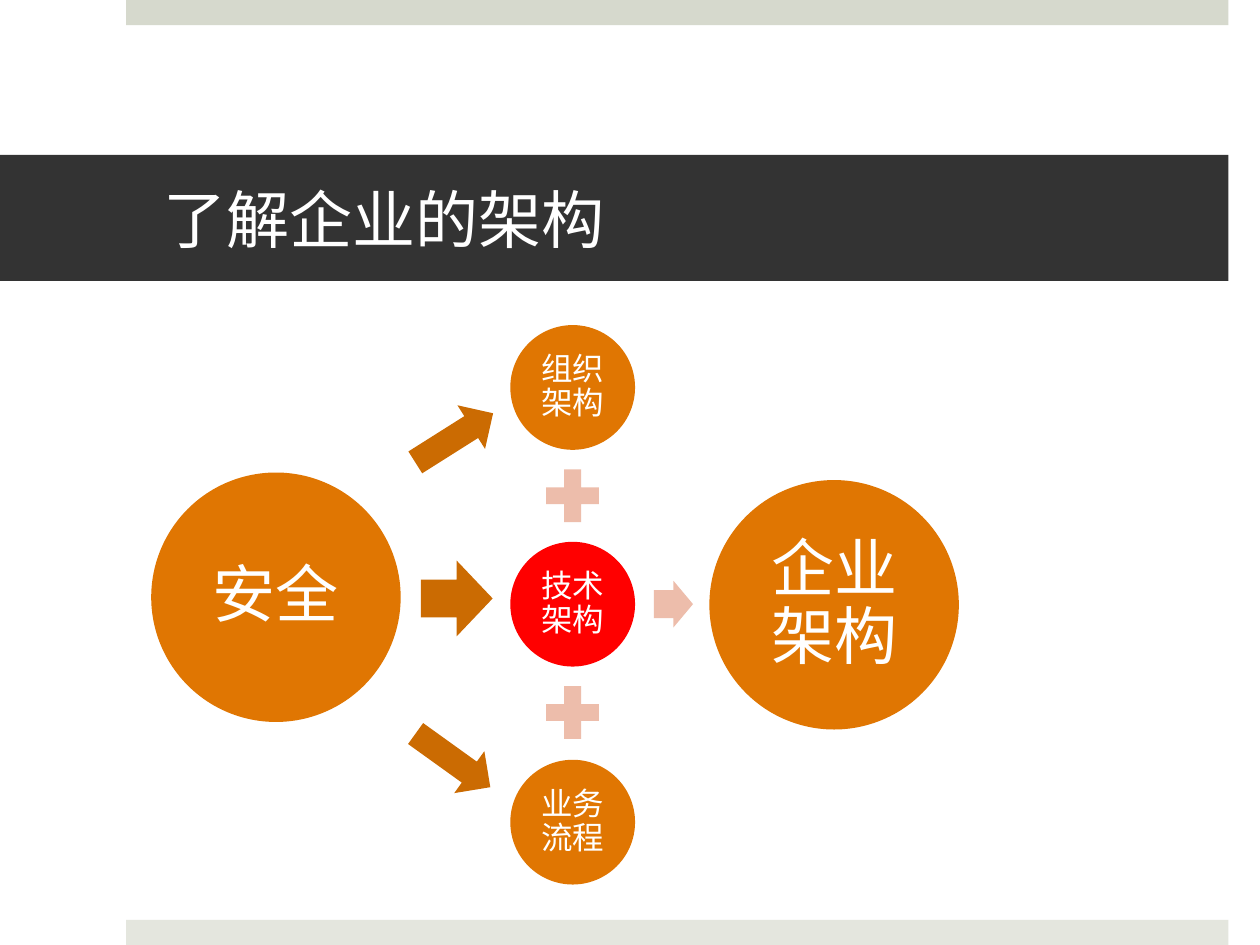
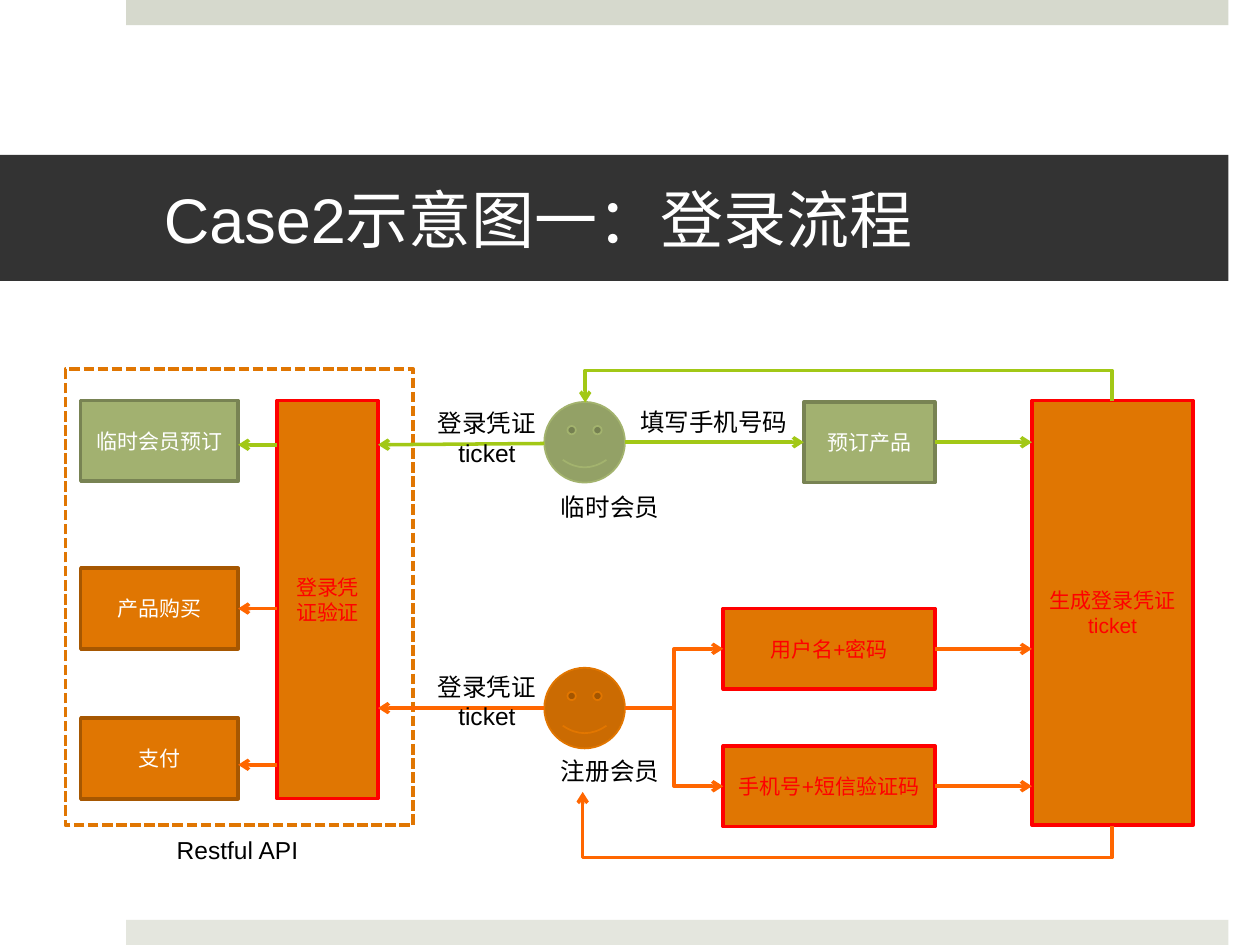
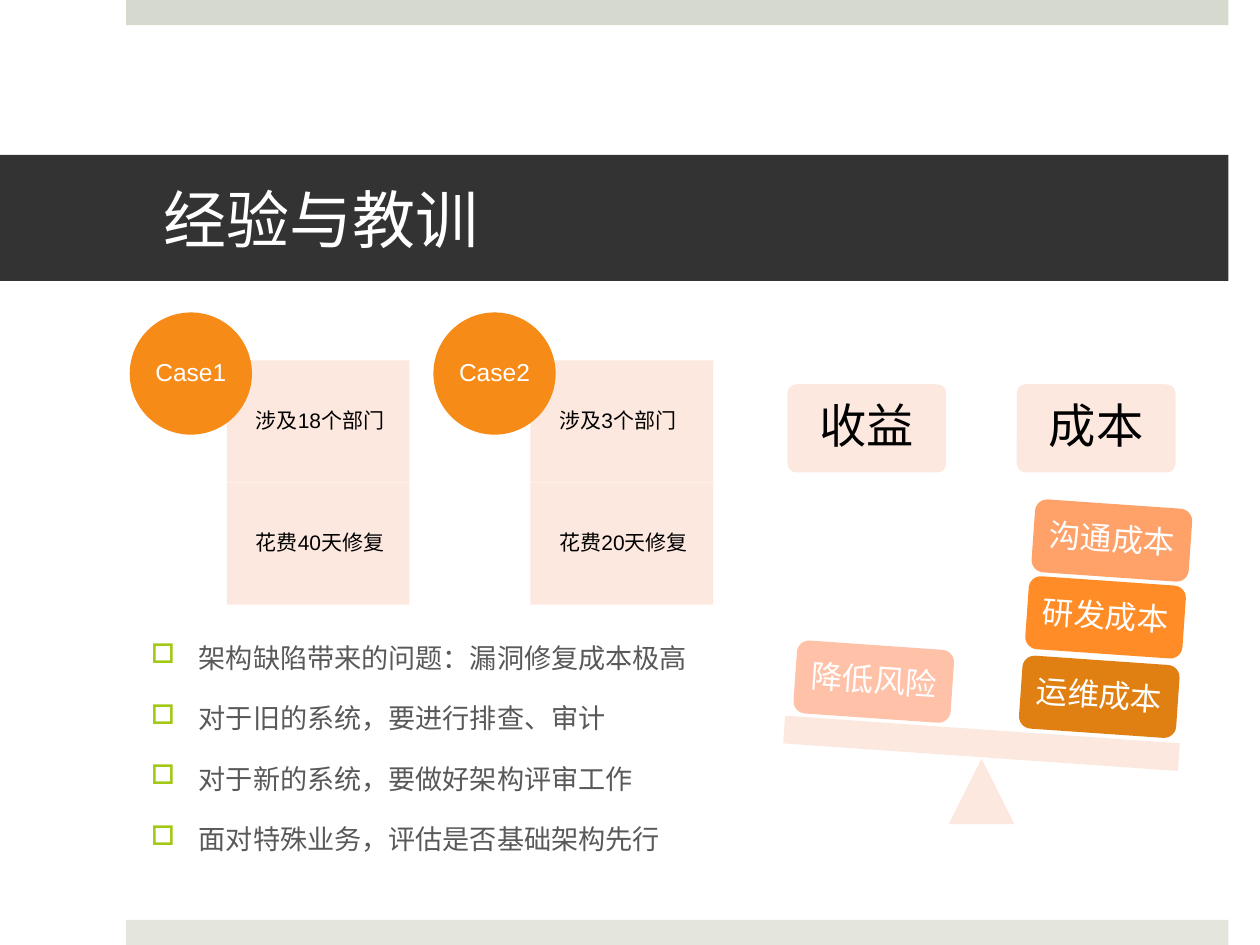
from lxml import etree
from pptx import Presentation
from pptx.dml.color import RGBColor
from pptx.enum import dml, shapes, text
from pptx.oxml.ns import qn

PX = 9144  # 100 px to the inch
FONT = "Arial"
ORANGE, DARK_ORANGE, RED, WHITE, BLACK = "E07602", "CB6B02", "FF0000", "FFFFFF", "000000"
GREEN, GREEN_EDGE, LIME, FLAME = "A2B170", "788353", "A2C816", "FF6600"
PINK, PALE = "EDBDAB", "FCE8DF"
SHAPE, LINK, ALIGN = shapes.MSO_SHAPE, shapes.MSO_CONNECTOR, text.PP_ALIGN
color = RGBColor.from_string


def add_box(page, kind, at, fill=None, line=None, words="", size=12, ink=WHITE,
            align=ALIGN.CENTER, insets=(10, 5, 10, 5), spacing=None, turn=0, width=2):
    """Add a preset shape, or a text box when kind is None."""
    at = [v * PX for v in at]
    box = page.shapes.add_shape(kind, *at) if kind else page.shapes.add_textbox(*at)
    if kind:
        box.shadow.inherit = False
    if fill:
        box.fill.solid()
        box.fill.fore_color.rgb = color(fill)
    else:
        box.fill.background()
    if line:
        box.line.color.rgb = color(line)
        box.line.width = width * 12700
    else:
        box.line.fill.background()
    box.rotation = turn
    if words:
        frame = box.text_frame
        frame.word_wrap = True
        frame.vertical_anchor = text.MSO_ANCHOR.MIDDLE
        (frame.margin_left, frame.margin_top,
         frame.margin_right, frame.margin_bottom) = [v * PX for v in insets]
        para = frame.paragraphs[0]
        para.text, para.alignment = words, align
        if spacing:
            para.line_spacing = spacing
        para.font.size, para.font.name = size * 12700, FONT
        para.font.color.rgb = color(ink)
    return box


def add_arrow(page, kind, ends, paint, start=None, goal=None):
    """Add an arrow; start and goal are (box, site) pairs to join."""
    arrow = page.shapes.add_connector(kind, *[v * PX for v in ends])
    if start:
        arrow.begin_connect(*start)
    if goal:
        arrow.end_connect(*goal)
    arrow.line.color.rgb = color(paint)
    arrow.line.width = 2 * 12700
    outline = arrow.line._get_or_add_ln()
    etree.SubElement(outline, qn("a:tailEnd"), type="arrow")
    etree.SubElement(arrow._element.spPr, qn("a:effectLst"))
    return arrow


deck = Presentation()
deck.slide_width, deck.slide_height = 1000 * PX, 750 * PX

# Shared bands and titles
pages = []
for heading in ("了解企业的架构", "Case2示意图一：登录流程", "经验与教训"):
    page = deck.slides.add_slide(deck.slide_layouts[5])
    for top, fill in ((0, "D6D9CD"), (730, "E4E6DE")):
        add_box(page, SHAPE.RECTANGLE, (100, top, 875, 20), fill)
    title = page.shapes.title
    title.left, title.top, title.width, title.height = 0, 123 * PX, 975 * PX, 100 * PX
    title.fill.solid()
    title.fill.fore_color.rgb = color("333333")
    frame = title.text_frame
    frame.text = heading
    frame.auto_size = text.MSO_AUTO_SIZE.NONE
    frame.vertical_anchor = text.MSO_ANCHOR.MIDDLE
    frame.margin_left, frame.margin_right = 130 * PX, 30 * PX
    frame.margin_top = frame.margin_bottom = 5 * PX
    para = frame.paragraphs[0]
    para.alignment = ALIGN.LEFT
    para.font.size, para.font.name = 36 * 12700, FONT
    para.font.color.rgb = color(WHITE)
    pages.append(page)
structure, login, lessons = pages

# Slide 1: three parts in a column, joined by plus signs
for row, (part, fill) in enumerate((("组织架构", ORANGE), ("技术架构", RED), ("业务流程", ORANGE))):
    top = 258 + round(172.5 * row)
    add_box(structure, SHAPE.OVAL, (405, top, 99, 99), fill, words=part, size=18,
            insets=(3, 3, 3, 3), spacing=0.9)
    if row < 2:
        add_box(structure, SHAPE.MATH_PLUS, (426, top + 107, 57, 57), PINK)

# Slide 1: large circles and arrows
for left, top, whole in ((563, 381, "企业架构"), (120, 375, "安全")):
    add_box(structure, SHAPE.OVAL, (left, top, 198, 198), ORANGE, words=whole, size=36,
            insets=(5, 5, 5, 5), spacing=0.9)
result_arrow = add_box(structure, SHAPE.RIGHT_ARROW, (519, 461, 31, 37), PINK)
result_arrow.adjustments[0] = 0.6
for at, turn in (((324, 327, 73, 41), 327.7), ((323, 583, 73, 41), 35.7), ((334, 445, 57, 60), 0)):
    add_box(structure, SHAPE.RIGHT_ARROW, at, DARK_ORANGE, turn=turn)

# Slide 2: members and boxes
guest = add_box(login, SHAPE.SMILEY_FACE, (432, 319, 64, 64), "93A166", "A3B36E", width=1)
add_box(login, SHAPE.SMILEY_FACE, (432, 530, 64, 64), DARK_ORANGE, "E27600", width=1)
api_frame = add_box(login, SHAPE.RECTANGLE, (52, 293, 276, 362), line=ORANGE)
api_frame.line.dash_style = dml.MSO_LINE.SQUARE_DOT
boxes = {}
for words, at, fill, line, ink in (
    ("用户名+密码", (574, 483, 168, 64), ORANGE, RED, RED),
    ("手机号+短信验证码", (574, 592, 168, 64), ORANGE, RED, RED),
    ("生成登录凭证ticket", (819, 318, 128, 337), ORANGE, RED, RED),
    ("登录凭证验证", (220, 318, 80, 316), ORANGE, RED, RED),
    ("预订产品", (638, 319, 104, 64), GREEN, GREEN_EDGE, WHITE),
    ("临时会员预订", (64, 318, 125, 64), GREEN, GREEN_EDGE, WHITE),
    ("产品购买", (64, 451, 125, 64), ORANGE, "A65701", WHITE),
    ("支付", (64, 570, 125, 64), ORANGE, "A65701", WHITE),
):
    boxes[words] = add_box(login, SHAPE.RECTANGLE, at, fill, line, words, ink=ink)
password, phone, issue, check, reserve, guest_order, buy, pay = boxes.values()

# Slide 2: straight and forked arrows
for kind, ends, paint, start, goal in (
    (LINK.ELBOW, (496, 562, 574, 515), FLAME, None, (password, 1)),
    (LINK.ELBOW, (496, 562, 574, 624), FLAME, None, (phone, 1)),
    (LINK.STRAIGHT, (742, 515, 819, 515), FLAME, (password, 3), None),
    (LINK.STRAIGHT, (742, 624, 819, 624), FLAME, (phone, 3), None),
    (LINK.STRAIGHT, (496, 351, 638, 351), LIME, None, (reserve, 1)),
    (LINK.STRAIGHT, (742, 351, 819, 351), LIME, (reserve, 3), None),
    (LINK.STRAIGHT, (432, 352, 300, 353), LIME, None, None),
    (LINK.STRAIGHT, (432, 562, 300, 562), FLAME, None, None),
    (LINK.STRAIGHT, (220, 353, 189, 353), LIME, None, None),
    (LINK.STRAIGHT, (220, 483, 189, 483), FLAME, None, (buy, 1 + 2)),
    (LINK.STRAIGHT, (220, 607, 189, 607), FLAME, None, None),
):
    add_arrow(login, kind, ends, paint, start, goal)

# Slide 2: labels
labels = {}
for name, words, at, align in (
    ("guest", "临时会员", (392, 385, 141, 34), ALIGN.RIGHT),
    ("member", "注册会员", (392, 595, 141, 34), ALIGN.RIGHT),
    ("api", "Restful API", (118, 657, 141, 34), ALIGN.CENTER),
    ("guest ticket", "登录凭证ticket", (328, 319, 117, 57), ALIGN.CENTER),
    ("member ticket", "登录凭证ticket", (328, 528, 117, 57), ALIGN.CENTER),
    ("phone", "填写手机号码", (496, 318, 141, 34), ALIGN.CENTER),
):
    labels[name] = add_box(login, None, at, words=words, size=14, ink=BLACK, align=align)

# Slide 2: return loops, turned so that they leave vertically
for site, goal, paint, at, turn, flip_v, bend in (
    (0, (guest, 0), LIME, (673, 110, 1, 418), 270, "1", -2500000),
    (2, (labels["member"], 2), FLAME, (659, 432, 27, 420), 90, "0", -92900),
):
    loop = add_arrow(login, LINK.ELBOW, (0, 0, 1, 1), paint, (issue, site), goal)
    loop.left, loop.top, loop.width, loop.height = [v * PX for v in at]
    xfrm = loop._element.spPr.find(qn("a:xfrm"))
    for key, value in (("rot", str(turn * 60000)), ("flipH", "1"), ("flipV", flip_v)):
        xfrm.set(key, value)
    guides = loop._element.spPr.find(qn("a:prstGeom")).find(qn("a:avLst"))
    etree.SubElement(guides, qn("a:gd"), name="adj1", fmla=f"val {bend}")

# Slide 3: case cards
for left, case, facts in (
    (103, "Case1", ("涉及18个部门", "花费40天修复")),
    (344, "Case2", ("涉及3个部门", "花费20天修复")),
):
    for row, fact in enumerate(facts):
        add_box(lessons, SHAPE.RECTANGLE, (left + 77, 286 + 97 * row, 145, 97), PALE, words=fact,
                ink=BLACK, align=ALIGN.LEFT, insets=(23, 9, 9, 9), spacing=0.9)
    add_box(lessons, SHAPE.OVAL, (left, 248, 97, 97), "F78B17", words=case, size=14,
            insets=(0, 0, 0, 0), spacing=0.9)

# Slide 3: bullet list
advice = lessons.shapes.add_textbox(110 * PX, 504 * PX, 520 * PX, 184 * PX).text_frame
advice.word_wrap = True
for row, words in enumerate((
    "架构缺陷带来的问题：漏洞修复成本极高",
    "对于旧的系统，要进行排查、审计",
    "对于新的系统，要做好架构评审工作",
    "面对特殊业务，评估是否基础架构先行",
)):
    para = advice.add_paragraph() if row else advice.paragraphs[0]
    para.text = words
    if row:
        para.space_before = 16 * 12700
    props = para._p.get_or_add_pPr()
    props.set("marL", str(38 * PX))
    props.set("indent", str(-38 * PX))
    tint = etree.SubElement(props, qn("a:buClr"))
    etree.SubElement(tint, qn("a:srgbClr"), val=LIME)
    etree.SubElement(props, qn("a:buChar"), char="□")
    para.font.size, para.font.name = int(15.5 * 12700), FONT
    para.font.color.rgb = color("595959")

# Slide 3: tilted scale
for left, side in ((625, "收益"), (807, "成本")):
    heading = add_box(lessons, SHAPE.ROUNDED_RECTANGLE, (left, 305, 126, 70), PALE, words=side,
                      size=27, ink=BLACK, spacing=0.9)
    heading.adjustments[0] = 0.1
add_box(lessons, SHAPE.ISOSCELES_TRIANGLE, (753, 602, 52, 52), PALE)
add_box(lessons, SHAPE.RECTANGLE, (622, 579, 314, 22), PALE, turn=4)
for left, top, weight, fill in (
    (810, 524, "运维成本", "E08012"),
    (815, 461, "研发成本", "FF8C26"),
    (820, 400, "沟通成本", "FFA26A"),
    (631, 512, "降低风险", "FFC2A8"),
):
    add_box(lessons, SHAPE.ROUNDED_RECTANGLE, (left, top, 125, 58), fill, words=weight, size=18,
            insets=(7, 7, 7, 7), spacing=0.9, turn=4)

deck.save("out.pptx")
